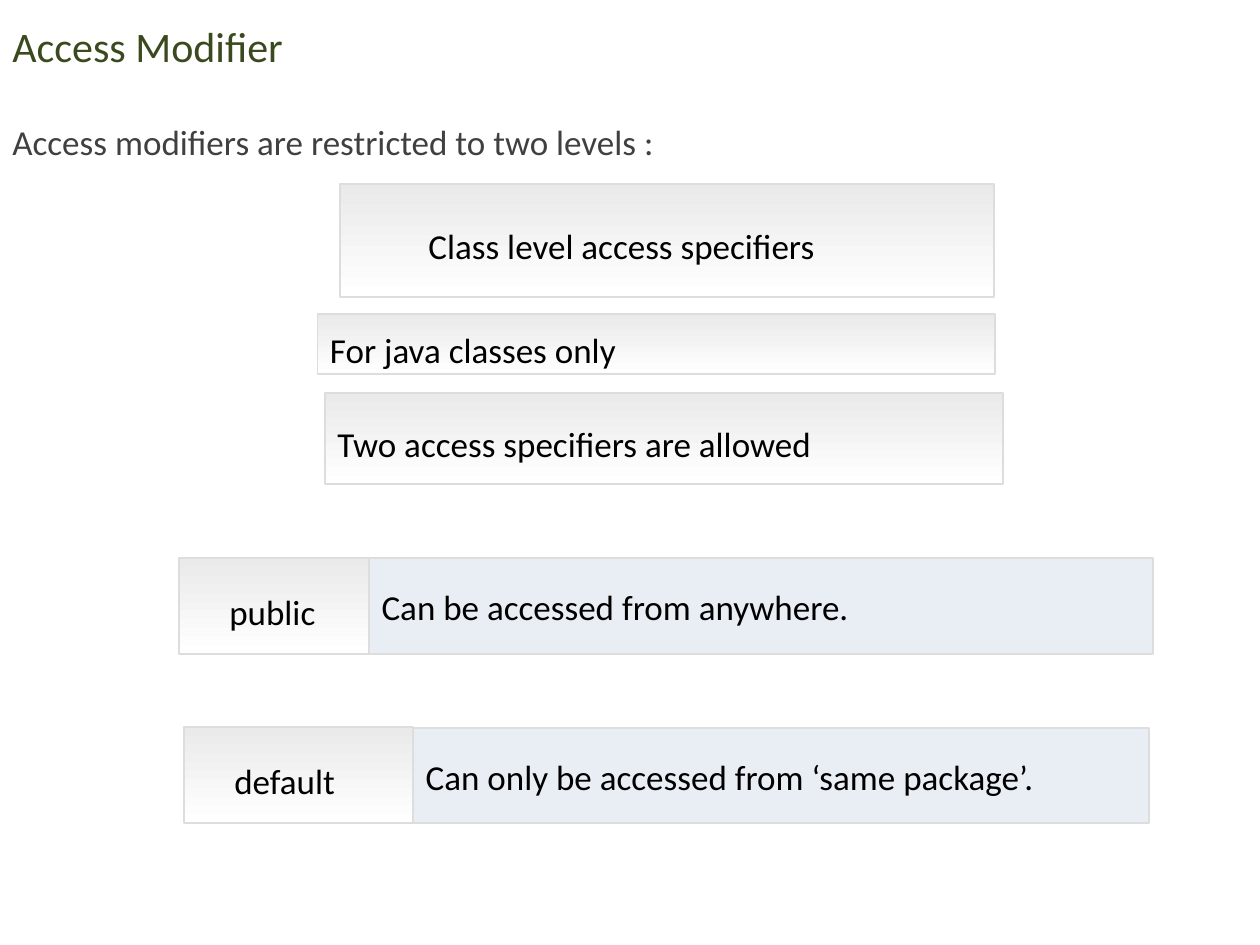
from pptx import Presentation
from pptx.dml.color import RGBColor
from pptx.enum.shapes import MSO_SHAPE
from pptx.enum.text import MSO_ANCHOR, PP_ALIGN
from pptx.util import Inches, Pt

RECTANGLE = MSO_SHAPE.RECTANGLE
TOP, MIDDLE = MSO_ANCHOR.TOP, MSO_ANCHOR.MIDDLE
LEFT, JUSTIFY = PP_ALIGN.LEFT, PP_ALIGN.JUSTIFY

THEME = {
    "font": "Calibri",
    "title_size": 24,
    "body_size": 20,
    "title": "3B4A1E",
    "intro": "404040",
    "text": "000000",
    "gradient": ("EAEAEA", "FFFFFF"),
    "panel": "E9EDF4",
    "border": "DDDDDD",
}

HEADING_MARGINS = (0.1, 0.05, 0.1, 0.05)
TEXT_MARGINS = (0.1, 0.1, 0, 0.1)
CLASS_MARGINS = (0.7, 0.1, 0.1, 0.1)
LABEL_MARGINS = (0.4, 0.1, 0.1, 0.1)

TITLE = ("Access Modifier", (0, 0.14, 9.55, 0.45))
INTRO = ("Access modifiers are restricted to two levels :", (0, 0.74, 9.3, 0.6))
CLASS_LEVEL = [
    ("For java classes only", (2.52, 2.49, 5.38, 0.48), TEXT_MARGINS),
    ("Class level access specifiers", (2.7, 1.46, 5.19, 0.9), CLASS_MARGINS),
    ("Two access specifiers are allowed", (2.58, 3.12, 5.38, 0.72), TEXT_MARGINS),
]
SPECIFIERS = [
    ("public", (1.42, 4.43, 1.53, 0.76),
     "Can be accessed from anywhere.", (2.93, 4.43, 6.22, 0.76)),
    ("default", (1.46, 5.77, 1.82, 0.76),
     "Can only be accessed from ‘same package’.", (3.28, 5.78, 5.84, 0.75)),
]


def color(name):
    return RGBColor.from_string(name)


def write_text(shape, text, margins, size, text_color, spacing,
               anchor=MIDDLE, alignment=LEFT):
    frame = shape.text_frame
    frame.word_wrap = True
    frame.vertical_anchor = anchor
    (frame.margin_left, frame.margin_top,
     frame.margin_right, frame.margin_bottom) = map(Inches, margins)
    paragraph = frame.paragraphs[0]
    paragraph.text = text
    paragraph.alignment = alignment
    paragraph.line_spacing = spacing
    paragraph.font.name = THEME["font"]
    paragraph.font.size = Pt(size)
    paragraph.font.color.rgb = color(text_color)


def add_heading(slide, content, size, text_color, spacing, anchor):
    text, place = content
    box = slide.shapes.add_textbox(*map(Inches, place))
    write_text(box, text, HEADING_MARGINS, size, text_color, spacing, anchor)


def add_box(slide, text, place, margins, spacing, gradient=True, alignment=LEFT):
    shape = slide.shapes.add_shape(RECTANGLE, *map(Inches, place))
    shape.shadow.inherit = False
    shape.line.color.rgb = color(THEME["border"])
    shape.line.width = Pt(1)
    if gradient:
        shape.fill.gradient()
        shape.fill.gradient_angle = 270
        for stop, name, position in zip(shape.fill.gradient_stops, THEME["gradient"], (0, 1)):
            stop.color.rgb = color(name)
            stop.position = position
    else:
        shape.fill.solid()
        shape.fill.fore_color.rgb = color(THEME["panel"])
    write_text(shape, text, margins, THEME["body_size"], THEME["text"],
               Pt(spacing), alignment=alignment)


def main():
    presentation = Presentation()
    presentation.slide_width = Inches(10)
    presentation.slide_height = Inches(7.5)
    slide = presentation.slides.add_slide(presentation.slide_layouts[6])

    add_heading(slide, TITLE, THEME["title_size"], THEME["title"], 1.0, MIDDLE)
    add_heading(slide, INTRO, THEME["body_size"], THEME["intro"], 1.5, TOP)
    for text, place, margins in CLASS_LEVEL:
        add_box(slide, text, place, margins, 29.9)
    for label, label_place, meaning, meaning_place in SPECIFIERS:
        add_box(slide, label, label_place, LABEL_MARGINS, 29.9, alignment=JUSTIFY)
        add_box(slide, meaning, meaning_place, TEXT_MARGINS, 25, gradient=False)

    presentation.save("out.pptx")


if __name__ == "__main__":
    main()
